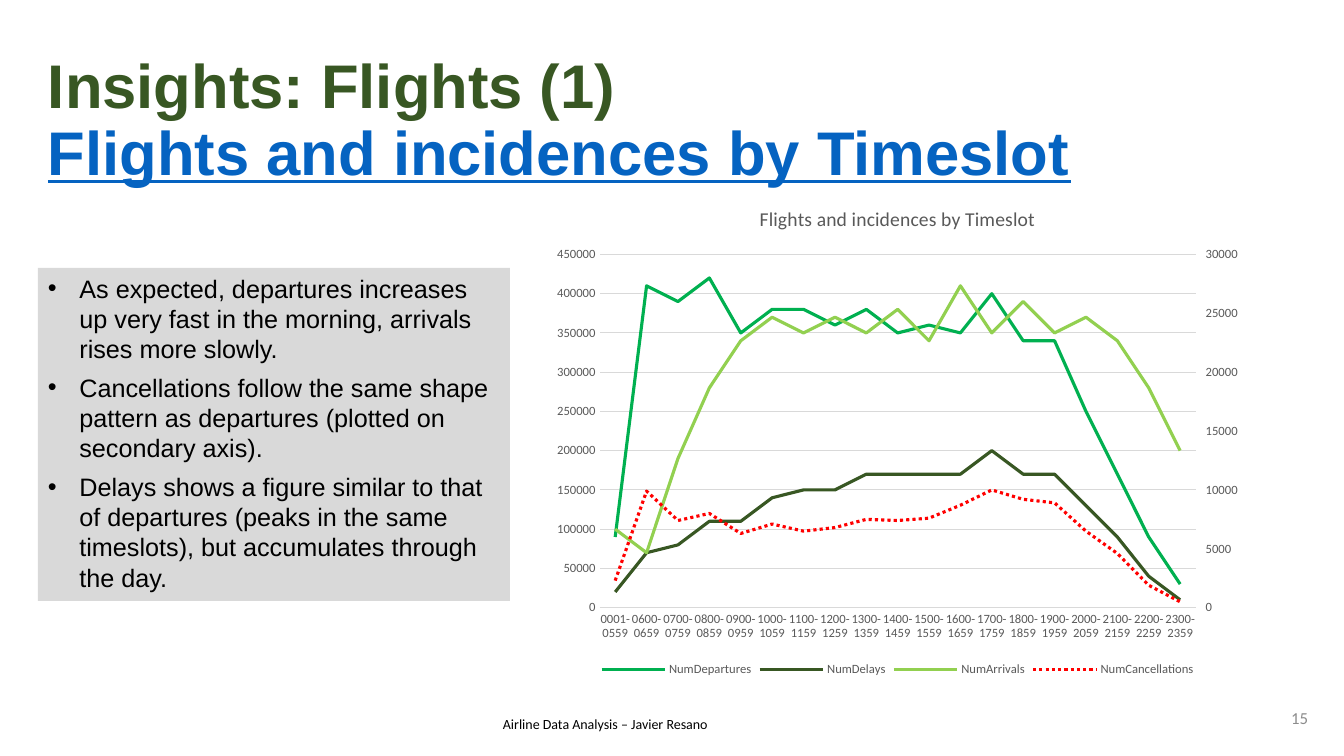
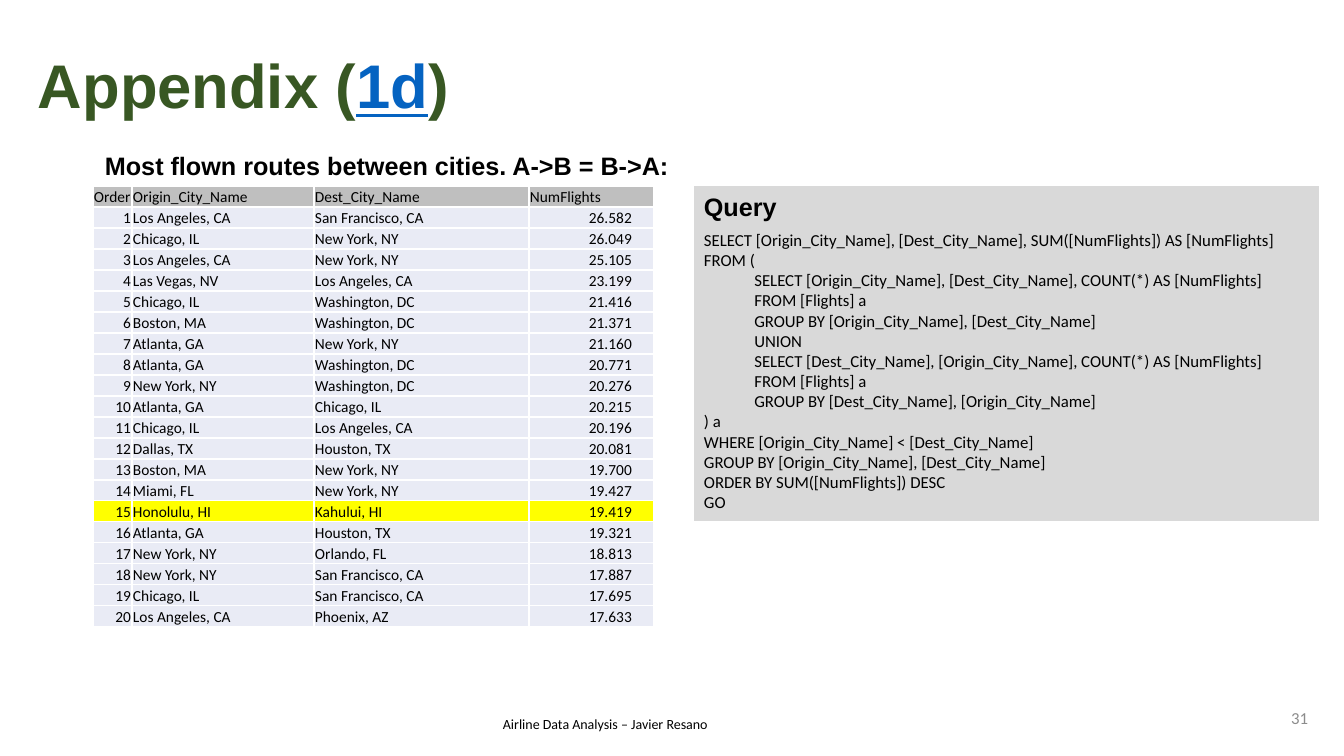
from copy import deepcopy

from pptx import Presentation
from pptx.chart.data import CategoryChartData
from pptx.dml.color import RGBColor
from pptx.enum.chart import XL_CHART_TYPE, XL_LEGEND_POSITION, XL_TICK_MARK
from pptx.enum.dml import MSO_LINE
from pptx.enum.shapes import MSO_SHAPE
from pptx.enum.text import MSO_ANCHOR, PP_ALIGN
from pptx.oxml import parse_xml
from pptx.oxml.ns import nsdecls, qn
from pptx.util import Pt

PX = 12192000 / 1344
COLORS = {
    "title": "385723", "link": "0563C1", "text": "000000", "number": "8C8C8C",
    "panel": "D9D9D9", "header": "BFBFBF", "row": "E9EBF5", "highlight": "FFFF00",
    "border": "FFFFFF", "chart_text": "595959", "grid": "D9D9D9",
    "departures": "00B050", "delays": "385723", "arrivals": "92D050", "cancellations": "FF0000",
}
color = {name: RGBColor.from_string(value) for name, value in COLORS.items()}


def px(*lengths):
    return [round(length * PX) for length in lengths]


def add_text(slide, box, lines, font, size, fill=None, text_color="text", bold=False,
             anchor=MSO_ANCHOR.TOP, align=PP_ALIGN.LEFT, wrap=True):
    """Add one paragraph per line, on a filled panel if a fill is named; return the paragraphs."""
    if fill:
        shape = slide.shapes.add_shape(MSO_SHAPE.RECTANGLE, *px(*box))
        shape.shadow.inherit = False
        shape.fill.solid()
        shape.fill.fore_color.rgb = color[fill]
        shape.line.fill.background()
    else:
        shape = slide.shapes.add_textbox(*px(*box))
    frame = shape.text_frame
    frame.word_wrap = wrap
    frame.vertical_anchor = anchor
    for index, line in enumerate(lines):
        paragraph = frame.add_paragraph() if index else frame.paragraphs[0]
        if line:
            paragraph.text = line
        paragraph.alignment = align
        paragraph.font.name = font
        paragraph.font.size = Pt(size)
        paragraph.font.bold = bold
        paragraph.font.color.rgb = color[text_color]
    return frame.paragraphs


presentation = Presentation()
presentation.slide_width, presentation.slide_height = px(1344, 756)

# Shared title, footer and slide number
TITLES = [
    (38, 49, 15, [("Insights: Flights (1)", False), ("\n", False),
                  ("Flights and incidences by Timeslot", True)]),
    (28, 16, 31, [("Appendix (", False), ("1d", True), (")", False)]),
]
slides = []
for left, top, number, parts in TITLES:
    slide = presentation.slides.add_slide(presentation.slide_layouts[6])
    slides.append(slide)
    title = add_text(slide, (left, top, 1159, 146), [""], "Arial", 44, text_color="title",
                     bold=True, anchor=MSO_ANCHOR.MIDDLE)[0]
    title.line_spacing = 0.9
    for text, is_link in parts:
        if text == "\n":
            title.add_line_break()
            continue
        run = title.add_run()
        run.text = text
        # Run formatting is explicit so that both colours and sizes hold in every viewer
        run.font.name, run.font.size, run.font.bold = "Arial", Pt(44), True
        run.font.underline = is_link
        run.font.color.rgb = color["link" if is_link else "title"]
    add_text(slide, (1275, 698, 43, 40), [str(number)], "Calibri", 12, text_color="number",
             anchor=MSO_ANCHOR.MIDDLE, align=PP_ALIGN.RIGHT)
    add_text(slide, (493, 711, 330, 27), ["Airline Data Analysis – Javier Resano"], "Calibri", 10)
flights_slide, appendix_slide = slides

# Flights: findings
findings = [
    "As expected, departures increases up very fast in the morning, arrivals rises more slowly.",
    "Cancellations follow the same shape pattern as departures (plotted on secondary axis).",
    "Delays shows a figure similar to that of departures (peaks in the same timeslots), "
    "but accumulates through the day.",
]
for paragraph in add_text(flights_slide, (38, 268, 472, 333), findings, "Arial", 18, fill="panel"):
    paragraph.space_after = Pt(6)
    properties = paragraph._p.get_or_add_pPr()
    properties.set("marL", "285750")
    properties.set("indent", "-285750")
    bullet_font = parse_xml(f'<a:buFont {nsdecls("a")} typeface="Arial"/>')
    bullet = parse_xml(f'<a:buChar {nsdecls("a")} char="•"/>')
    following = properties.find(qn("a:defRPr"))
    for element in (bullet_font, bullet):
        if following is None:
            properties.append(element)
        else:
            following.addprevious(element)

# Flights: line chart
SERIES = [
    ("NumDepartures", "departures", 1000,
     [90, 410, 390, 420, 350, 380, 380, 360, 380, 350, 360, 350, 400, 340, 340, 250, 170, 90, 30]),
    ("NumDelays", "delays", 1000,
     [20, 70, 80, 110, 110, 140, 150, 150, 170, 170, 170, 170, 200, 170, 170, 130, 90, 40, 10]),
    ("NumArrivals", "arrivals", 1000,
     [100, 70, 190, 280, 340, 370, 350, 370, 350, 380, 340, 410, 350, 390, 350, 370, 340, 280, 200]),
    ("NumCancellations", "cancellations", 100,
     [23, 99, 74, 80, 63, 71, 65, 68, 75, 74, 76, 87, 100, 92, 89, 65, 46, 19, 5]),
]
chart_data = CategoryChartData()
chart_data.categories = ["0001-0559"] + [f"{hour:02}00-{hour:02}59" for hour in range(6, 24)]
for name, _, unit, values in SERIES:
    chart_data.add_series(name, [value * unit for value in values])
chart = flights_slide.shapes.add_chart(
    XL_CHART_TYPE.LINE, *px(543, 186, 709, 495), chart_data).chart
chart.font.name = "Calibri"
chart.font.size = Pt(9)
chart.font.color.rgb = color["chart_text"]
chart.has_title = True
heading = chart.chart_title.text_frame.paragraphs[0]
heading.text = "Flights and incidences by Timeslot"
heading.font.name = "Calibri"
heading.font.size = Pt(14)
heading.font.bold = False
heading.font.color.rgb = color["chart_text"]
chart.has_legend = True
chart.legend.position = XL_LEGEND_POSITION.BOTTOM
chart.legend.include_in_layout = False

plot = chart.plots[0]
plot.vary_by_categories = False
for series, (_, series_color, _, _) in zip(plot.series, SERIES):
    series.smooth = False
    series.format.line.width = Pt(2.25)
    series.format.line.color.rgb = color[series_color]
    if series_color == "cancellations":
        series.format.line.dash_style = MSO_LINE.ROUND_DOT

category_axis, value_axis = chart.category_axis, chart.value_axis
for axis in (category_axis, value_axis):
    axis.major_tick_mark = XL_TICK_MARK.NONE
    axis.minor_tick_mark = XL_TICK_MARK.NONE
value_axis.minimum_scale, value_axis.maximum_scale = 0, 450000
value_axis.major_unit = 50000
value_axis.format.line.fill.background()
value_axis.has_major_gridlines = True
for line in (category_axis.format.line, value_axis.major_gridlines.format.line):
    line.color.rgb = color["grid"]
    line.width = Pt(0.75)

# Cancellations move to a second line plot with its own axis on the right
plot_area = chart.element.find(".//" + qn("c:plotArea"))
left_plot, categories, left_axis = (
    plot_area.find(qn(tag)) for tag in ("c:lineChart", "c:catAx", "c:valAx"))
right_plot, right_axis, hidden_axis = (
    deepcopy(part) for part in (left_plot, left_axis, categories))
left_plot.remove(left_plot.findall(qn("c:ser"))[-1])
for moved in right_plot.findall(qn("c:ser"))[:-1]:
    right_plot.remove(moved)
for part in (right_plot, right_axis, hidden_axis):
    for tag in ("c:axId", "c:crossAx"):
        for reference in part.findall(qn(tag)):
            reference.set("val", str(int(reference.get("val")) + 1))
right_axis.remove(right_axis.find(qn("c:majorGridlines")))
for tag, value in (("c:axPos", "r"), ("c:crosses", "max"), ("c:majorUnit", "5000"),
                   ("c:majorTickMark", "out")):
    right_axis.find(qn(tag)).set("val", value)
right_axis.find(qn("c:scaling")).find(qn("c:max")).set("val", "30000")
hidden_axis.find(qn("c:delete")).set("val", "1")
left_plot.addnext(right_plot)
left_axis.addnext(right_axis)
right_axis.addnext(hidden_axis)

# Appendix: routes table
HEADERS = ["Order", "Origin_City_Name", "Dest_City_Name", "NumFlights"]
ROUTES = [
    ("Los Angeles, CA", "San Francisco, CA", "26.582"),
    ("Chicago, IL", "New York, NY", "26.049"),
    ("Los Angeles, CA", "New York, NY", "25.105"),
    ("Las Vegas, NV", "Los Angeles, CA", "23.199"),
    ("Chicago, IL", "Washington, DC", "21.416"),
    ("Boston, MA", "Washington, DC", "21.371"),
    ("Atlanta, GA", "New York, NY", "21.160"),
    ("Atlanta, GA", "Washington, DC", "20.771"),
    ("New York, NY", "Washington, DC", "20.276"),
    ("Atlanta, GA", "Chicago, IL", "20.215"),
    ("Chicago, IL", "Los Angeles, CA", "20.196"),
    ("Dallas, TX", "Houston, TX", "20.081"),
    ("Boston, MA", "New York, NY", "19.700"),
    ("Miami, FL", "New York, NY", "19.427"),
    ("Honolulu, HI", "Kahului, HI", "19.419"),
    ("Atlanta, GA", "Houston, TX", "19.321"),
    ("New York, NY", "Orlando, FL", "18.813"),
    ("New York, NY", "San Francisco, CA", "17.887"),
    ("Chicago, IL", "San Francisco, CA", "17.695"),
    ("Los Angeles, CA", "Phoenix, AZ", "17.633"),
]
HIGHLIGHTED_ROW = 15
COLUMN_WIDTHS = [39, 182, 215, 125]
ROW_HEIGHT = 21
rows = [HEADERS] + [(str(order), *route) for order, route in enumerate(ROUTES, 1)]
table = appendix_slide.shapes.add_table(
    len(rows), len(HEADERS),
    *px(93, 186, sum(COLUMN_WIDTHS), ROW_HEIGHT * len(rows))).table
table.first_row = table.horz_banding = False
for column, width in zip(table.columns, px(*COLUMN_WIDTHS)):
    column.width = width
for row_index, row in enumerate(rows):
    fill = {0: "header", HIGHLIGHTED_ROW: "highlight"}.get(row_index, "row")
    for column_index, text in enumerate(row):
        cell = table.cell(row_index, column_index)
        is_count = row_index > 0 and column_index == 3
        cell.margin_left, cell.margin_right, cell.margin_top = px(1, 22 if is_count else 1, 1)
        cell.margin_bottom = 0
        cell.vertical_anchor = MSO_ANCHOR.BOTTOM
        for side in "LRTB":
            cell._tc.get_or_add_tcPr().append(parse_xml(
                f'<a:ln{side} {nsdecls("a")} w="12700"><a:solidFill>'
                f'<a:srgbClr val="{COLORS["border"]}"/></a:solidFill></a:ln{side}>'))
        cell.fill.solid()
        cell.fill.fore_color.rgb = color[fill]
        paragraph = cell.text_frame.paragraphs[0]
        paragraph.text = text
        paragraph.font.name = "Calibri"
        paragraph.font.size = Pt(11)
        paragraph.font.color.rgb = color["text"]
        if row_index > 0 and column_index in (0, 3):
            paragraph.alignment = PP_ALIGN.RIGHT

# Appendix: query panel, each line with its indent level
QUERY = [
    (0, "SELECT [Origin_City_Name], [Dest_City_Name], SUM([NumFlights]) AS [NumFlights]"),
    (0, "FROM ("),
    (1, "SELECT [Origin_City_Name], [Dest_City_Name], COUNT(*) AS [NumFlights]"),
    (1, "FROM [Flights] a"),
    (1, "GROUP BY [Origin_City_Name], [Dest_City_Name]"),
    (1, "UNION"),
    (1, "SELECT [Dest_City_Name], [Origin_City_Name], COUNT(*) AS [NumFlights]"),
    (1, "FROM [Flights] a"),
    (1, "GROUP BY [Dest_City_Name], [Origin_City_Name]"),
    (0, ") a"),
    (0, "WHERE [Origin_City_Name] < [Dest_City_Name]"),
    (0, "GROUP BY [Origin_City_Name], [Dest_City_Name]"),
    (0, "ORDER BY SUM([NumFlights]) DESC"),
    (0, "GO"),
]
query_heading, *query_lines = add_text(
    appendix_slide, (694, 186, 625, 335), ["Query"] + [text for _, text in QUERY],
    "Calibri", 12, fill="panel")
query_heading.font.name = "Arial"
query_heading.font.size = Pt(18)
query_heading.font.bold = True
query_heading.space_after = Pt(6)
for paragraph, (level, _) in zip(query_lines, QUERY):
    if level:
        paragraph.level = level
        paragraph._p.get_or_add_pPr().set("marL", "457200")

add_text(appendix_slide, (95, 145, 597, 40), ["Most flown routes between cities. A->B = B->A:"],
         "Arial", 18, bold=True, wrap=False)

presentation.save("out.pptx")
